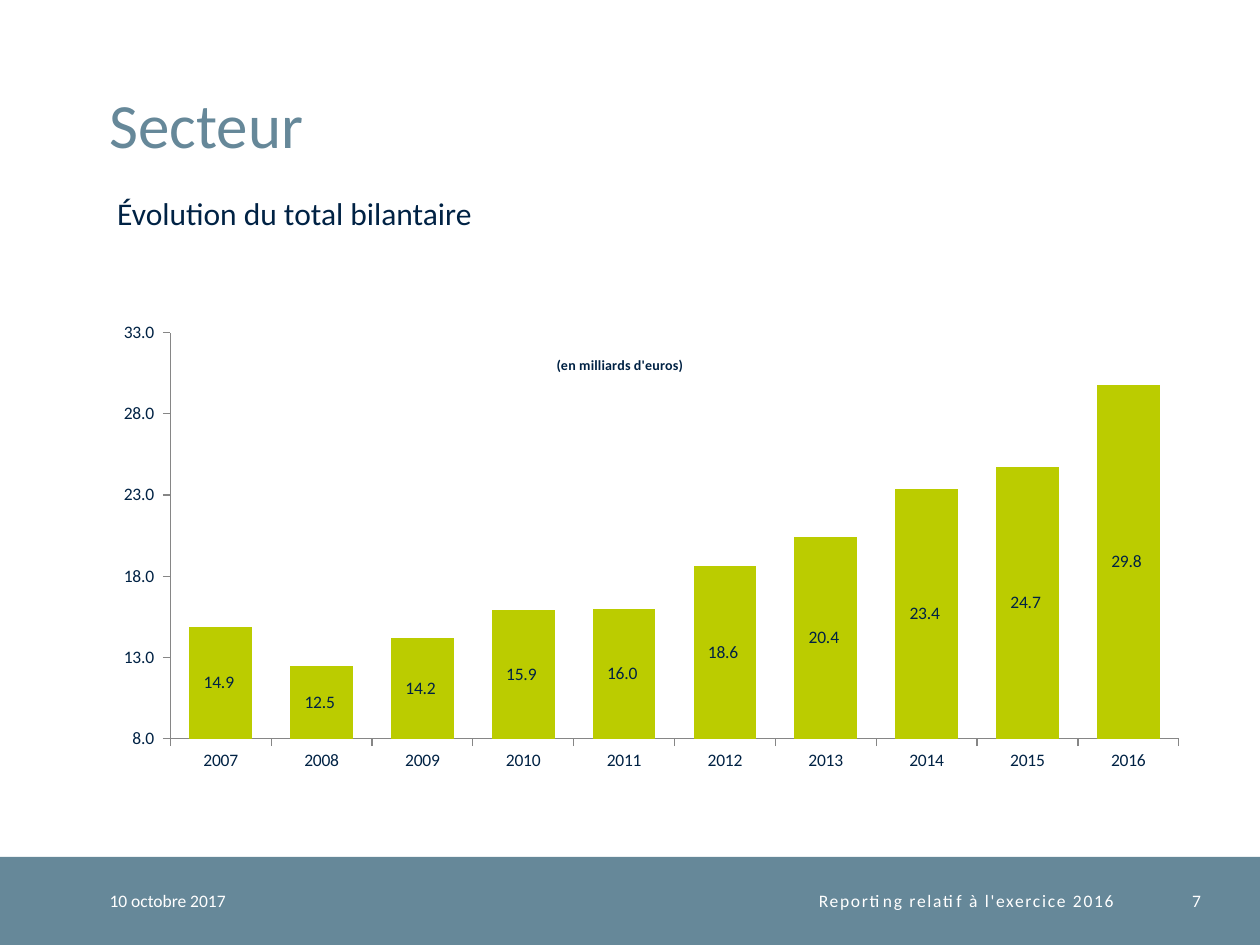
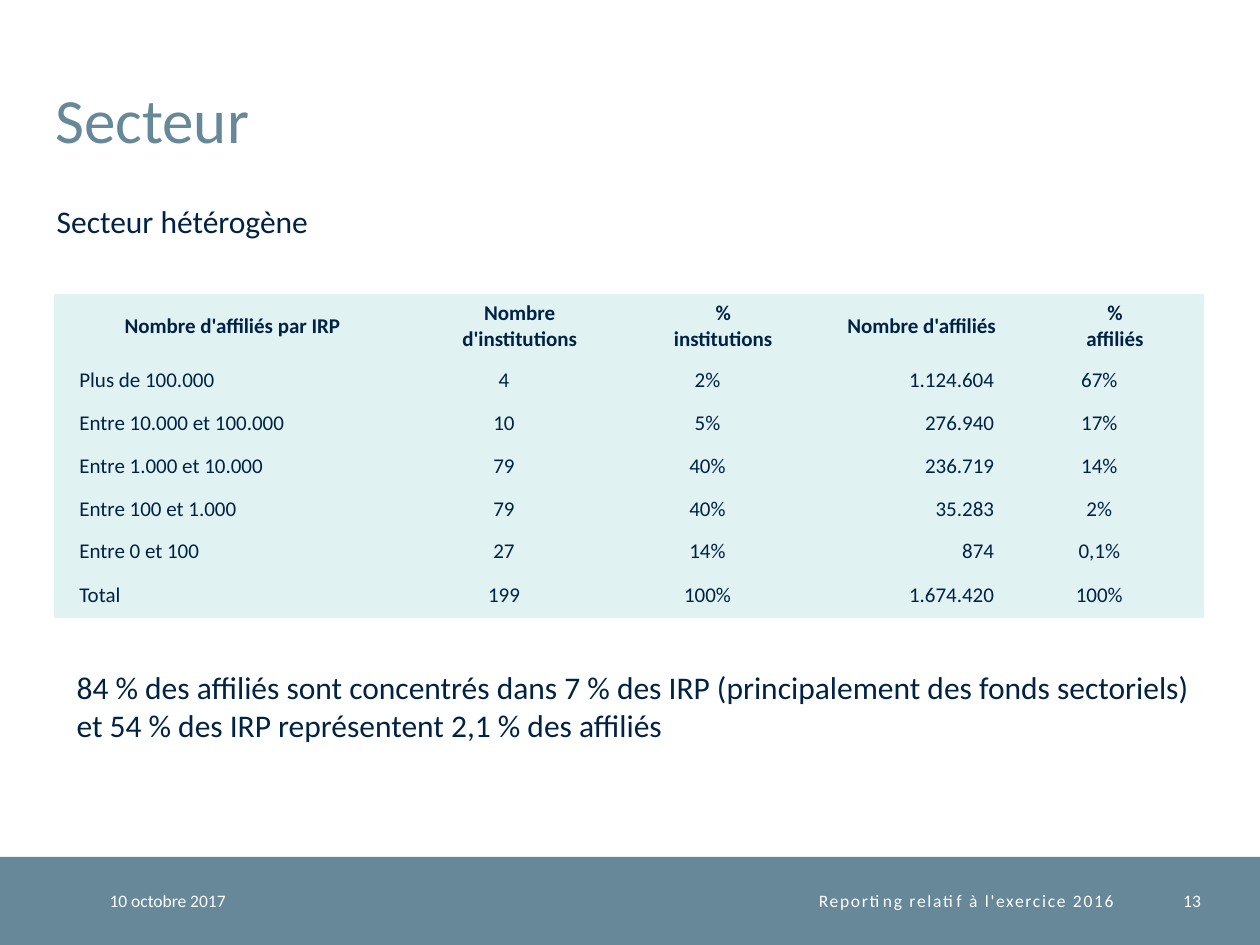
from lxml import etree
from pptx import Presentation
from pptx import util as u
from pptx.chart.data import CategoryChartData
from pptx.dml.color import RGBColor
from pptx.enum import chart as ch, shapes, text
from pptx.oxml import ns

FONT = "Calibri"
SLATE, NAVY, WHITE, LIME, MIST, GREY = (
    "668899", "002244", "FFFFFF", "BBCC00", "E1F2F2", "868686")
LEFT, MID, RIGHT = text.PP_ALIGN.LEFT, text.PP_ALIGN.CENTER, text.PP_ALIGN.RIGHT
NUM = "#,##0.0_ ;[Red]\\-#,##0.0\\ "

BAND = (0, 6.8, 10, 0.7)
FOOT = [
    (0.87, 1.77, "10 octobre 2017", LEFT, 0),
    (2.64, 6.2, "Reporting relatif à l'exercice 2016", RIGHT, 100),
]
PAGE = (9.04, 0.49)

TOTALS = {
    "2007": 14.9, "2008": 12.5, "2009": 14.2, "2010": 15.9, "2011": 16.0,
    "2012": 18.6, "2013": 20.4, "2014": 23.4, "2015": 24.7, "2016": 29.8,
}
HEADS = ["Nombre d'affiliés par IRP", "Nombre\nd'institutions",
         "%\ninstitutions", "Nombre d'affiliés", "%\naffiliés"]
ROWS = [
    ("Plus de 100.000", "4", "2%", "1.124.604", "67%"),
    ("Entre 10.000 et 100.000", "10", "5%", "276.940", "17%"),
    ("Entre 1.000 et 10.000", "79", "40%", "236.719", "14%"),
    ("Entre 100 et 1.000", "79", "40%", "35.283", "2%"),
    ("Entre 0 et 100", "27", "14%", "874", "0,1%"),
    ("Total", "199", "100%", "1.674.420", "100%"),
]
ALIGNS = [LEFT, MID, MID, RIGHT, MID]
WIDTHS = [2.83, 1.73, 1.5, 1.65, 1.42]
HEIGHTS = [0.52] + [0.34] * 5 + [0.36]
NOTE = ("84 % des affiliés sont concentrés dans 7 % des IRP (principalement des "
        "fonds sectoriels) et 54 % des IRP représentent 2,1 % des affiliés")


def color(code):
    return RGBColor.from_string(code)


def style(font, size, code, bold=False):
    font.name, font.size, font.bold = FONT, u.Pt(size), bold
    font.color.rgb = color(code)


def place(shape, box):
    shape.left, shape.top, shape.width, shape.height = map(u.Inches, box)


def write(frame, words, size, code, align=LEFT, bold=False, pad=None):
    frame.text = words
    frame.word_wrap = True
    if pad is not None:
        frame.margin_left = frame.margin_top = u.Inches(pad)
        frame.margin_right = frame.margin_bottom = u.Inches(pad)
    for par in frame.paragraphs:
        par.alignment = align
        style(par.font, size, code, bold)


def box(slide, area, *args, **opts):
    shape = slide.shapes.add_textbox(*map(u.Inches, area))
    write(shape.text_frame, *args, **opts)
    return shape.text_frame


def footer(slide, page):
    band = slide.shapes.add_shape(
        shapes.MSO_SHAPE.RECTANGLE, *map(u.Inches, BAND))
    band.shadow.inherit = False
    band.fill.solid()
    band.fill.fore_color.rgb = color(SLATE)
    band.line.fill.background()
    for left, width, words, align, gap in FOOT + [(*PAGE, page, RIGHT, 0)]:
        frame = box(slide, (left, BAND[1], width, BAND[3]), words, 10, WHITE,
                    align, pad=0)
        frame.vertical_anchor = text.MSO_ANCHOR.MIDDLE
        if gap:
            run = frame.paragraphs[0].runs[0]
            run.font.language_id = None
            run.font._element.set("spc", str(gap))


def start(deck, page, spot, sub, area):
    slide = deck.slides.add_slide(deck.slide_layouts[1])
    footer(slide, page)
    title, body = slide.placeholders
    place(title, (*spot, 8.63, 1.08))
    write(title.text_frame, "Secteur", 36, SLATE, pad=0)
    title.text_frame.vertical_anchor = text.MSO_ANCHOR.BOTTOM
    title.text_frame.paragraphs[0].line_spacing = u.Pt(32)
    place(body, area)
    write(body.text_frame, sub, 18, NAVY)
    par = body.text_frame.paragraphs[0]
    par.space_before = u.Pt(0)
    props = par._p.get_or_add_pPr()
    props.set("marL", "0")
    props.set("indent", "0")
    etree.SubElement(props, ns.qn("a:buNone")).getparent()
    rank = props.find(ns.qn("a:defRPr"))
    if rank is not None:
        props.append(rank)
    for shape in (title, body):
        shape.text_frame.auto_size = text.MSO_AUTO_SIZE.NONE
    return slide


def layout(node, after, **spots):
    old = node.find(ns.qn("c:layout"))
    if old is not None:
        node.remove(old)
    lay = etree.Element(ns.qn("c:layout"))
    hand = etree.SubElement(lay, ns.qn("c:manualLayout"))
    for key, val in spots.items():
        etree.SubElement(hand, ns.qn("c:" + key)).set("val", str(val))
    node.insert(after, lay)


def bars(slide):
    data = CategoryChartData(number_format=NUM)
    data.categories = list(TOTALS)
    data.add_series("Total bilantaire", list(TOTALS.values()))
    chart = slide.shapes.add_chart(
        ch.XL_CHART_TYPE.COLUMN_STACKED,
        *map(u.Inches, (0.83, 2.11, 8.7, 4.08)), data).chart
    style(chart.font, 10, NAVY)
    chart.has_legend = False
    head = chart.chart_title
    head.text_frame.text = "(en milliards d'euros)"
    style(head.text_frame.paragraphs[0].font, 8, NAVY, True)
    head.include_in_layout = False
    layout(head._element, 1, xMode="edge", yMode="edge", x=0.41, y=0.17)
    area = chart._chartSpace.chart.plotArea
    layout(area, 0, layoutTarget="inner", xMode="edge", yMode="edge",
           x=0.06, y=0.13, w=0.92, h=0.79)

    plot = chart.plots[0]
    plot.gap_width, plot.overlap, plot.vary_by_categories = 61, 100, False
    fill = plot.series[0].format.fill
    fill.solid()
    fill.fore_color.rgb = color(LIME)
    plot.has_data_labels = True
    tags = plot.data_labels
    tags.show_value = True
    tags.number_format, tags.number_format_is_linked = NUM, False
    style(tags.font, 10, NAVY)

    for axis in (chart.category_axis, chart.value_axis):
        axis.has_major_gridlines = False
        axis.major_tick_mark = ch.XL_TICK_MARK.OUTSIDE
        axis.format.line.color.rgb = color(GREY)
        axis.format.line.width = u.Pt(0.75)
    axis.minimum_scale, axis.maximum_scale, axis.major_unit = 8, 33, 5
    axis.tick_labels.number_format = NUM
    axis.tick_labels.number_format_is_linked = False


def grid(slide):
    table = slide.shapes.add_table(
        len(HEIGHTS), len(WIDTHS),
        *map(u.Inches, (0.43, 2.33, sum(WIDTHS), sum(HEIGHTS)))).table
    table.first_row = table.horz_banding = False
    plain = table._tbl.tblPr.find(ns.qn("a:tableStyleId"))
    plain.text = "{2D5ABB26-0587-4C30-8999-92F81FD0307C}"
    for col, width in zip(table.columns, WIDTHS):
        col.width = u.Inches(width)
    for row, height in zip(table.rows, HEIGHTS):
        row.height = u.Inches(height)
    for r, row in enumerate([HEADS] + ROWS):
        for c, words in enumerate(row):
            cell = table.cell(r, c)
            cell.fill.solid()
            cell.fill.fore_color.rgb = color(MIST)
            cell.vertical_anchor = text.MSO_ANCHOR.MIDDLE
            write(cell.text_frame, words, 12, NAVY, ALIGNS[c] if r else MID,
                  bold=r == 0)
            cell.margin_top = cell.margin_bottom = 0
            cell.margin_left = u.Inches(0.2 if r and c == 0 else 0)
            cell.margin_right = u.Inches(0.25 if r and c else 0)


def main():
    deck = Presentation()
    deck.slide_width, deck.slide_height = u.Inches(10), u.Inches(7.5)
    bars(start(deck, "7", (0.87, 0.2), "Évolution du total bilantaire",
               (0.83, 1.49, 4.25, 0.4)))
    last = start(deck, "13", (0.44, 0.16), "Secteur hétérogène",
                 (0.35, 1.55, 3.23, 0.4))
    grid(last)
    box(last, (0.51, 5.25, 9.06, 0.71), NOTE, 18, NAVY)
    deck.save("out.pptx")


if __name__ == "__main__":
    main()
